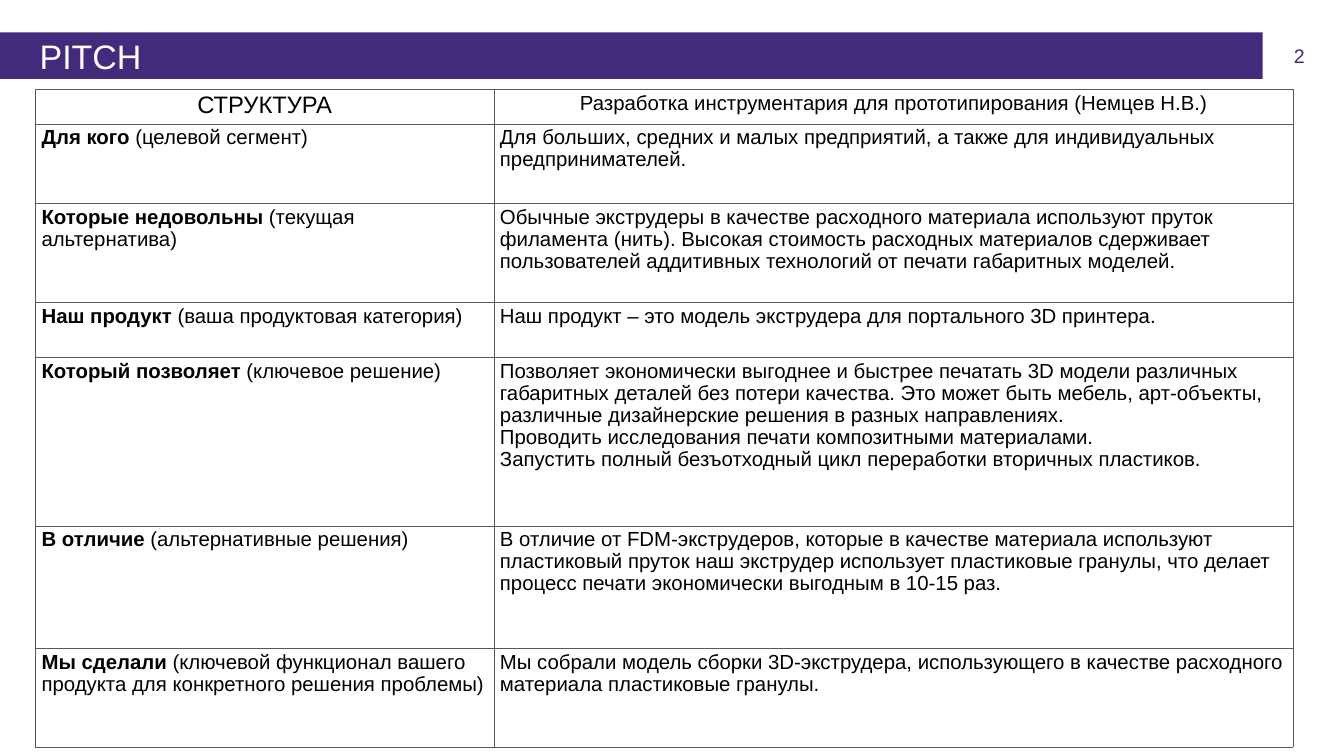
from dataclasses import dataclass

from lxml.etree import SubElement
from pptx import Presentation
from pptx.dml.color import RGBColor
from pptx.enum.shapes import MSO_SHAPE
from pptx.enum.text import MSO_ANCHOR, PP_ALIGN
from pptx.oxml.ns import qn
from pptx.slide import Slide
from pptx.table import _Cell
from pptx.text.text import TextFrame
from pptx.util import Inches, Pt

PURPLE = "422B7D"
WHITE = "FFFFFF"
BLACK = "000000"
BORDER = "595959"
FONT = "Arial"
BODY_SIZE = 24
BODY_SPACING = 0.97
COLUMN_WIDTHS = (7.5, 13.08)
HEADER_HEIGHT = 0.57


@dataclass
class Run:
    text: str
    size: float = BODY_SIZE
    bold: bool = False
    color: str = BLACK


@dataclass
class PitchRow:
    height: float
    topic: str
    hint: str
    answers: tuple[str, ...]


HEADERS = (
    Run("СТРУКТУРА", 28),
    Run("Разработка инструментария для прототипирования (Немцев Н.В.)"),
)

PITCH_ROWS = (
    PitchRow(1.3, "Для кого", "целевой сегмент", (
        "Для больших, средних и малых предприятий, а также для индивидуальных предпринимателей.",
    )),
    PitchRow(1.62, "Которые недовольны", "текущая альтернатива", (
        "Обычные экструдеры в качестве расходного материала используют пруток филамента (нить). "
        "Высокая стоимость расходных материалов сдерживает пользователей аддитивных технологий "
        "от печати габаритных моделей.",
    )),
    PitchRow(0.9, "Наш продукт", "ваша продуктовая категория", (
        "Наш продукт – это модель экструдера для портального 3D принтера.",
    )),
    PitchRow(2.76, "Который позволяет", "ключевое решение", (
        "Позволяет экономически выгоднее и быстрее печатать 3D модели различных габаритных "
        "деталей без потери качества. Это может быть мебель, арт-объекты, различные "
        "дизайнерские решения в разных направлениях.",
        "Проводить исследования печати композитными материалами.",
        "Запустить полный безъотходный цикл переработки вторичных пластиков.",
    )),
    PitchRow(2, "В отличие", "альтернативные решения", (
        "В отличие от FDM-экструдеров, которые в качестве материала используют пластиковый "
        "пруток наш экструдер использует пластиковые гранулы, что делает процесс печати "
        "экономически выгодным в 10-15 раз.",
    )),
    PitchRow(1.61, "Мы сделали", "ключевой функционал вашего продукта для конкретного решения проблемы", (
        "Мы собрали модель сборки 3D-экструдера, использующего в качестве расходного материала "
        "пластиковые гранулы.",
    )),
)


def rgb(color: str) -> RGBColor:
    return RGBColor.from_string(color)


def write(frame: TextFrame, paragraphs: list[list[Run]],
          align: PP_ALIGN = PP_ALIGN.LEFT, spacing: float = 1.0) -> None:
    frame.word_wrap = True
    for index, runs in enumerate(paragraphs):
        paragraph = frame.add_paragraph() if index else frame.paragraphs[0]
        paragraph.alignment = align
        paragraph.line_spacing = spacing
        for item in runs:
            run = paragraph.add_run()
            run.text = item.text
            run.font.name = FONT
            run.font.size = Pt(item.size)
            run.font.bold = item.bold
            run.font.color.rgb = rgb(item.color)


def style_cell(cell: _Cell) -> None:
    """Outline the cell with thin grey lines and leave it unfilled."""
    properties = cell._tc.get_or_add_tcPr()
    for side in ("a:lnL", "a:lnR", "a:lnT", "a:lnB"):
        line = SubElement(properties, qn(side), w=str(Pt(0.5)))
        fill = SubElement(line, qn("a:solidFill"))
        SubElement(fill, qn("a:srgbClr"), val=BORDER)
    cell.fill.background()


def add_page_number(slide: Slide) -> None:
    box = slide.shapes.add_textbox(Inches(20.66), Inches(0.72), Inches(0.69), Inches(0.39))
    frame = box.text_frame
    frame.margin_left = frame.margin_right = frame.margin_top = frame.margin_bottom = 0
    write(frame, [[Run("2", 23.1, color=PURPLE)]], PP_ALIGN.RIGHT)


def add_title_bar(slide: Slide) -> None:
    bar = slide.shapes.add_shape(MSO_SHAPE.RECTANGLE, 0, Inches(0.53), Inches(20.66), Inches(0.76))
    bar.shadow.inherit = False
    bar.fill.solid()
    bar.fill.fore_color.rgb = rgb(PURPLE)
    bar.line.fill.background()
    frame = bar.text_frame
    frame.margin_left = Inches(0.65)
    frame.vertical_anchor = MSO_ANCHOR.MIDDLE
    write(frame, [[Run("PITCH", 40, color=WHITE)]])


def add_pitch_table(slide: Slide) -> None:
    heights = [HEADER_HEIGHT] + [row.height for row in PITCH_ROWS]
    table = slide.shapes.add_table(
        len(heights), len(COLUMN_WIDTHS), Inches(0.58), Inches(1.46),
        Inches(sum(COLUMN_WIDTHS)), Inches(sum(heights)),
    ).table
    table.first_row = table.horz_banding = False
    for column, width in zip(table.columns, COLUMN_WIDTHS):
        column.width = Inches(width)
    for table_row, height in zip(table.rows, heights):
        table_row.height = Inches(height)
    for cell in table.iter_cells():
        style_cell(cell)
    for index, header in enumerate(HEADERS):
        write(table.cell(0, index).text_frame, [[header]], PP_ALIGN.CENTER)
    for index, row in enumerate(PITCH_ROWS, start=1):
        topic = [Run(f"{row.topic} ", bold=True), Run(f"({row.hint})")]
        answers = [[Run(answer)] for answer in row.answers]
        write(table.cell(index, 0).text_frame, [topic], spacing=BODY_SPACING)
        write(table.cell(index, 1).text_frame, answers, spacing=BODY_SPACING)


def main() -> None:
    presentation = Presentation()
    presentation.slide_width = Inches(21.99)
    presentation.slide_height = Inches(12.37)
    slide = presentation.slides.add_slide(presentation.slide_layouts[6])
    add_page_number(slide)
    add_title_bar(slide)
    add_pitch_table(slide)
    presentation.save("out.pptx")


if __name__ == "__main__":
    main()
